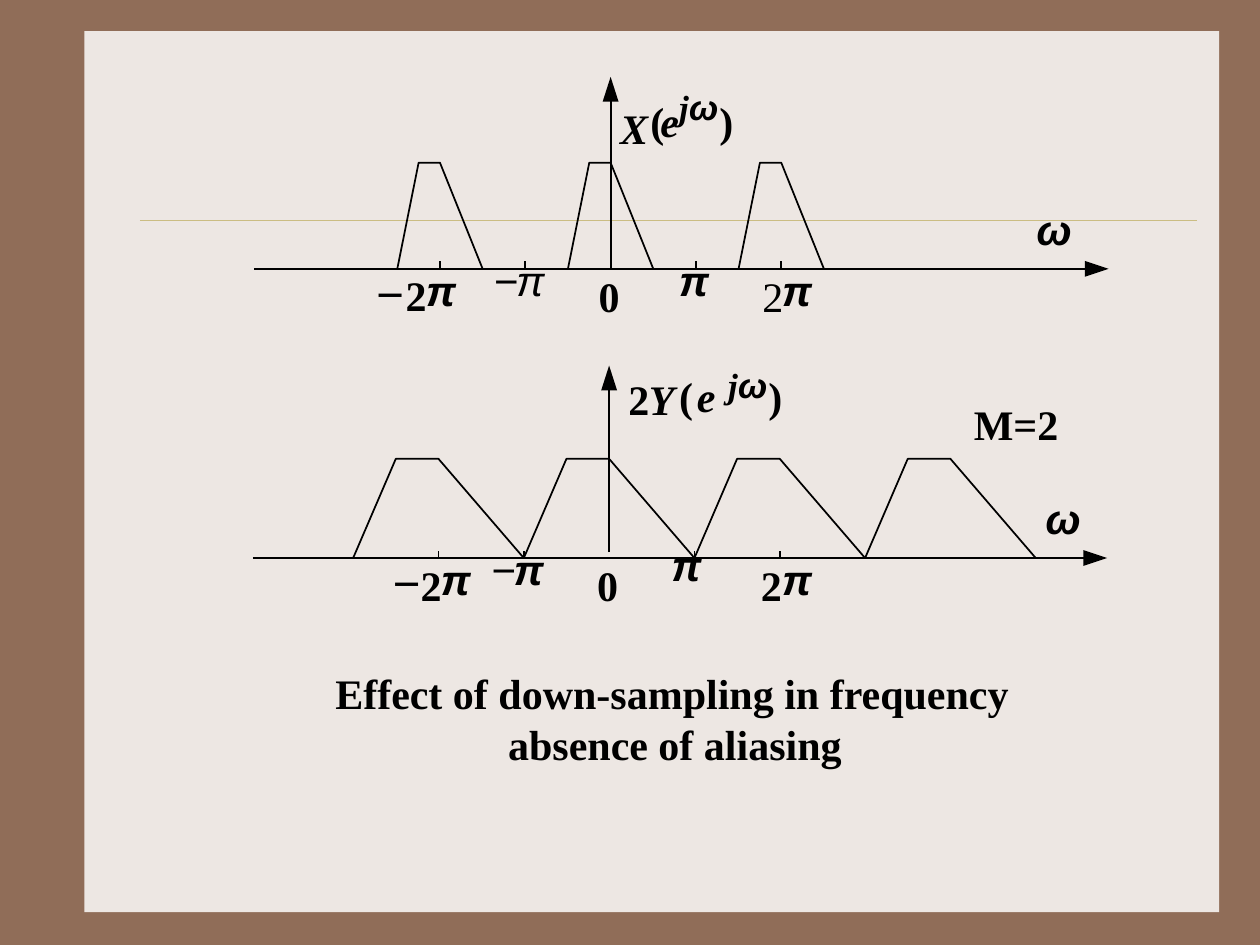
from lxml import etree
from pptx import Presentation
from pptx.dml.color import RGBColor
from pptx.enum.shapes import MSO_CONNECTOR as Connector, MSO_SHAPE as Shape
from pptx.enum.text import MSO_AUTO_SIZE as AutoSize, PP_ALIGN as Align
from pptx.oxml.ns import qn
from pptx.util import Cm, Pt

rgb = RGBColor.from_string
BLACK = "000000"
SERIF, SANS = "Times New Roman", "Arial"
EM = 2.54 / 72  # centimetres per point
QUARTER_PI = 0.43
PI = 4 * QUARTER_PI
WIDTHS = {"(": 0.33, ")": 0.33, "ω": 0.69, "j": 0.29, "e": 0.45, "X": 0.67,
          "Y": 0.61, "0": 0.5, "2": 0.5, "π": 0.55, "−": 0.33, "M=2": 2.03}


def add_line(shapes, start, end, color=BLACK, width=1):
    points = [Cm(value) for value in (*start, *end)]
    line = shapes.add_connector(Connector.STRAIGHT, *points)
    line.line.color.rgb = rgb(color)
    line.line.width = Pt(width)
    etree.SubElement(line._element.spPr, qn("a:effectLst"))


def add_outline(shapes, points, closed):
    """Draw a filled arrowhead when closed, otherwise an unfilled pulse."""
    corners = [(Cm(x), Cm(y)) for x, y in points]
    builder = shapes.build_freeform(*corners[0])
    builder.add_line_segments(corners[1:], close=closed)
    outline = builder.convert_to_shape()
    outline.shadow.inherit = False
    if closed:
        outline.fill.solid()
        outline.fill.fore_color.rgb = rgb(BLACK)
        outline.line.fill.background()
    else:
        outline.fill.background()
        outline.line.color.rgb = rgb(BLACK)
        outline.line.width = Pt(1)


presentation = Presentation()
presentation.slide_width, presentation.slide_height = Cm(25.4), Cm(19.05)
slide = presentation.slides.add_slide(presentation.slide_layouts[6])
slide.background.fill.solid()
slide.background.fill.fore_color.rgb = rgb("906D58")

panel = slide.shapes.add_shape(Shape.RECTANGLE, Cm(1.7), Cm(0.63), Cm(22.88), Cm(17.76))
panel.shadow.inherit = False
panel.fill.solid()
panel.fill.fore_color.rgb = rgb("EDE7E3")
panel.line.fill.background()
add_line(slide.shapes, (2.82, 4.44), (24.13, 4.44), "CBBD83", 0.25)

caption = slide.shapes.add_textbox(Cm(3.18), Cm(13.34), Cm(20.95), Cm(2.29))
frame = caption.text_frame
frame.word_wrap = True
frame.text = "Effect of down-sampling in frequency \nabsence of aliasing"
caption_format = {"name": SERIF, "size": Pt(24), "bold": True}
for paragraph in frame.paragraphs:
    paragraph.alignment = Align.CENTER
    for name, value in caption_format.items():
        setattr(paragraph.runs[0].font, name, value)
    paragraph.runs[0].font.color.rgb = rgb(BLACK)
small_space = frame.paragraphs[1].add_run()
small_space.text = " "
small_space.font.name, small_space.font.size = SERIF, Pt(11)

# Each label: text, left, top, style (b bold, i italic), size in points
plots = [
    {"origin": 12.31, "axis": 5.42, "top": 3.28, "tip": 1.55, "stem": 5.42,
     "stretch": 1, "periods": (0, 1, -1),
     "labels": [
         (")", 14.5, 1.93, "b", 24), ("(", 13.11, 1.93, "b", 24),
         ("ω", 13.89, 1.73, "bi", 20), ("j", 13.69, 1.73, "bi", 20),
         ("e", 13.31, 1.93, "bi", 24), ("X", 12.5, 2.06, "bi", 24),
         ("ω", 20.9, 4.11, "bi", 24), ("0", 12.07, 5.46, "b", 24),
         ("π", 13.69, 5.13, "bi", 24),
         ("π", 15.77, 5.33, "bi", 24), ("2", 15.37, 5.46, "", 24),
         ("π", 10.41, 5.13, "i", 24), ("−", 9.96, 5.13, "", 24),
         ("π", 8.59, 5.33, "bi", 24), ("2", 8.18, 5.44, "b", 24),
         ("−", 7.59, 5.33, "", 27)]},
    {"origin": 12.28, "axis": 11.25, "top": 9.25, "tip": 7.37, "stem": 11.13,
     "stretch": 2, "periods": (0, 1, 2, -1),
     "labels": [
         (")", 15.49, 7.47, "b", 24), ("(", 13.69, 7.47, "b", 24),
         ("2", 12.67, 7.52, "b", 24),
         ("ω", 14.88, 7.32, "bi", 20), ("j", 14.68, 7.32, "bi", 20),
         ("e", 14.05, 7.47, "bi", 24), ("Y", 13.08, 7.52, "bi", 24),
         ("M=2", 19.63, 8.03, "b", 24), ("ω", 21.08, 9.93, "bi", 24),
         ("0", 12.04, 11.28, "b", 24), ("π", 13.54, 10.87, "bi", 24),
         ("π", 15.77, 11.15, "bi", 24), ("2", 15.34, 11.28, "b", 24),
         ("π", 10.36, 10.95, "bi", 24), ("−", 9.91, 10.95, "", 24),
         ("π", 8.89, 11.15, "bi", 24), ("2", 8.48, 11.28, "b", 24),
         ("−", 7.92, 11.15, "", 27)]},
]

for plot in plots:
    shapes = slide.shapes.add_group_shape().shapes
    origin, axis, top, tip = (plot[key] for key in ("origin", "axis", "top", "tip"))

    add_line(shapes, (origin - 7.18, axis), (origin + 9.6, axis))
    add_outline(shapes, [(origin + 9.56, axis - 0.16), (origin + 10.04, axis),
                         (origin + 9.56, axis + 0.16)], closed=True)
    add_line(shapes, (origin, plot["stem"]), (origin, tip + 0.4))
    add_outline(shapes, [(origin - 0.16, tip + 0.5), (origin, tip),
                         (origin + 0.16, tip + 0.5)], closed=True)

    for multiple in (1, 2, -1, -2):
        tick = origin + multiple * PI
        add_line(shapes, (tick, axis), (tick, axis - 0.15))

    unit = QUARTER_PI * plot["stretch"]
    for period in plot["periods"]:
        center = origin + period * 2 * PI
        add_outline(shapes, [(center - 2 * unit, axis), (center - unit, top),
                             (center, top), (center + 2 * unit, axis)], closed=False)

    for text, left, label_top, style, size in plot["labels"]:
        # The widest label needs a little slack to stay on one line
        width = WIDTHS[text] * size * EM + (0.03 if len(text) > 1 else 0)
        label = shapes.add_textbox(Cm(left), Cm(label_top), Cm(width), Cm(1.2 * size * EM))
        frame = label.text_frame
        frame_format = {"margin_left": 0, "margin_top": 0, "margin_right": 0,
                        "margin_bottom": 0, "word_wrap": False,
                        "auto_size": AutoSize.SHAPE_TO_FIT_TEXT, "text": text}
        for name, value in frame_format.items():
            setattr(frame, name, value)
        font = frame.paragraphs[0].runs[0].font
        font_format = {"name": SANS if text in "ωπ−" else SERIF, "size": Pt(size),
                       "bold": "b" in style, "italic": "i" in style}
        for name, value in font_format.items():
            setattr(font, name, value)
        font.color.rgb = rgb(BLACK)

presentation.save("out.pptx")
